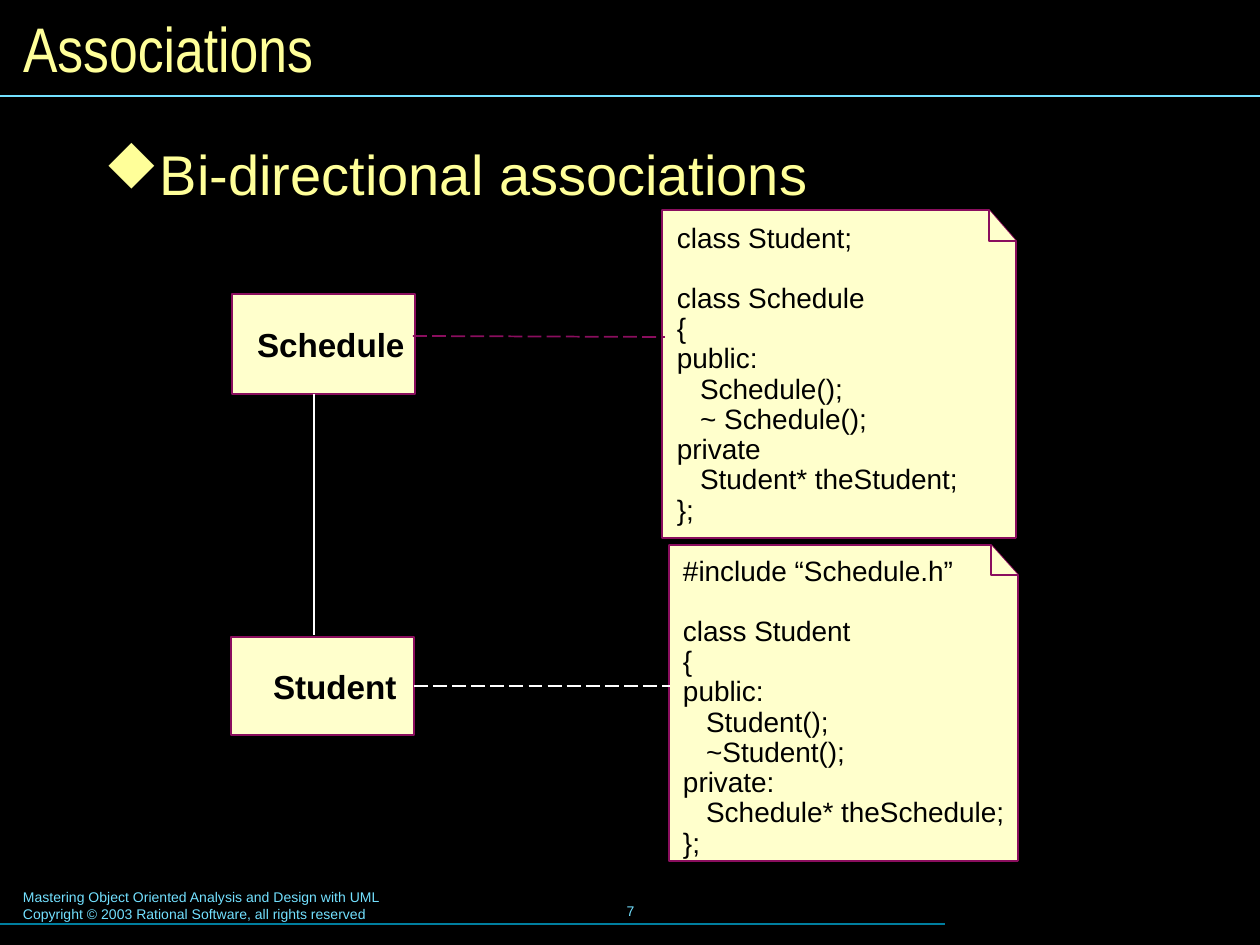
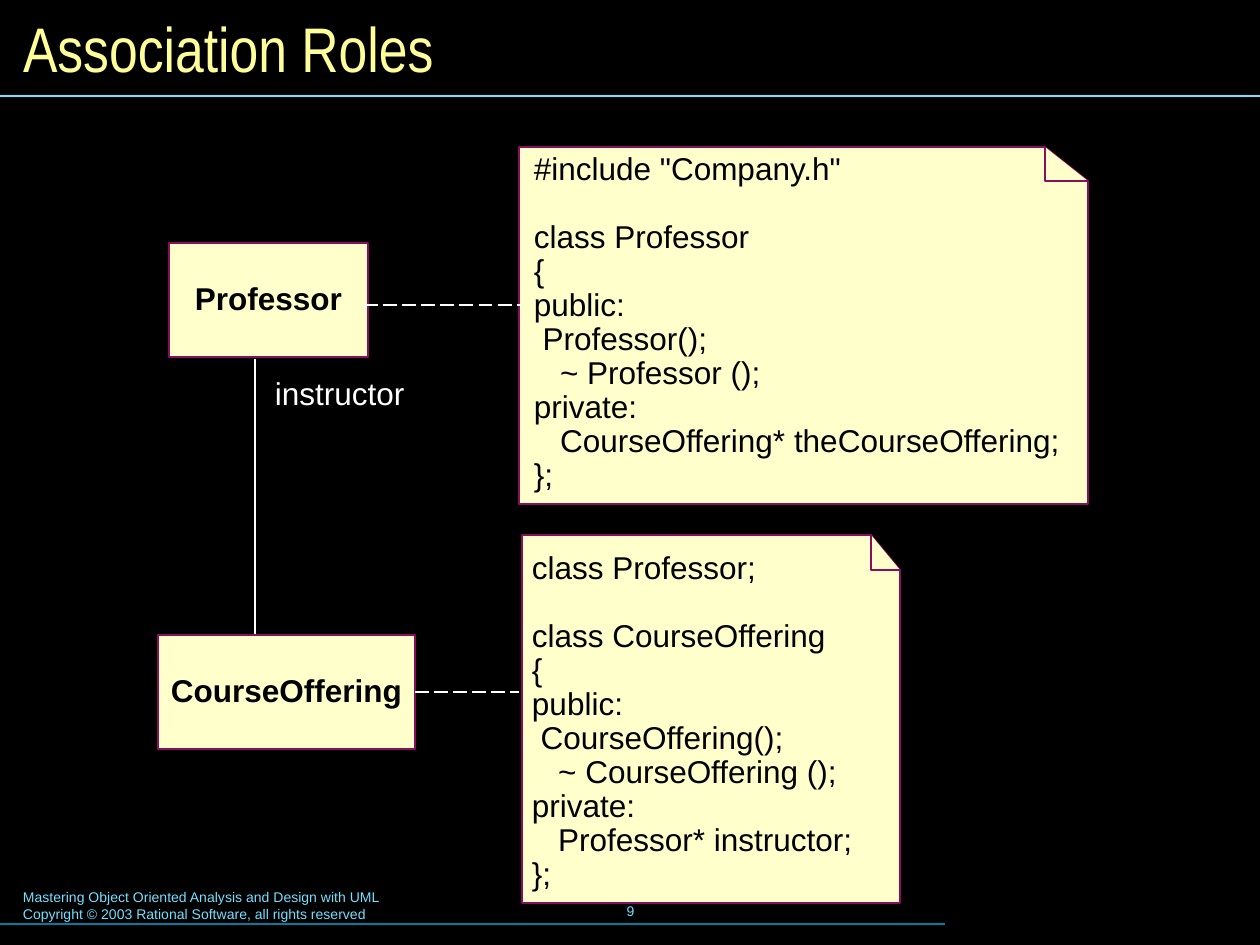
import lxml.etree
import pptx
import pptx.dml.color
import pptx.enum.dml
import pptx.enum.shapes
import pptx.enum.text
import pptx.oxml.ns
import pptx.util

PX = 7257  # EMU in one px, 126 px to the inch
YELLOW, CREAM, PLUM = "FFFF99", "FFFFCC", "8A0E5E"
SKY, TEAL, BLACK, WHITE = "73E1FF", "007E9F", "000000", "FFFFFF"
DIAMOND = "u"  # a solid diamond in Wingdings
LEFT, CENTER = pptx.enum.text.PP_ALIGN.LEFT, pptx.enum.text.PP_ALIGN.CENTER
TOP, MIDDLE = pptx.enum.text.MSO_ANCHOR.TOP, pptx.enum.text.MSO_ANCHOR.MIDDLE
rgb = pptx.dml.color.RGBColor.from_string
qn = pptx.oxml.ns.qn


def write(frame, text, size, colour, font="Arial", bold=False, align=LEFT,
          anchor=TOP, insets=(13, 6, 13, 6), spacing=None, bullet=None):
    """Fill a text frame; an empty line becomes space before the next one."""
    frame.word_wrap = True
    frame.auto_size = pptx.enum.text.MSO_AUTO_SIZE.NONE
    frame.vertical_anchor = anchor
    frame.margin_left, frame.margin_top, frame.margin_right, frame.margin_bottom = (
        inset * PX for inset in insets)
    gap = 0
    for number, line in enumerate(text.split("\n")):
        if not line:
            gap = size * 1.08
            continue
        paragraph = frame.add_paragraph() if number else frame.paragraphs[0]
        paragraph.text = line
        paragraph.alignment = align
        paragraph.space_before = pptx.util.Pt(gap)
        gap = 0
        if spacing:
            paragraph.line_spacing = spacing
        if bullet:
            properties = paragraph._p.get_or_add_pPr()
            properties.set("marL", str(47 * PX))
            properties.set("indent", str(-47 * PX))
            tint = lxml.etree.SubElement(properties, qn("a:buClr"))
            lxml.etree.SubElement(tint, qn("a:srgbClr"), val=colour)
            lxml.etree.SubElement(properties, qn("a:buFont"), typeface="Wingdings",
                                  pitchFamily="2", charset="2")
            lxml.etree.SubElement(properties, qn("a:buChar"), char=bullet)
        paragraph.font.name = font
        paragraph.font.size = pptx.util.Pt(size)
        paragraph.font.bold = bold
        paragraph.font.color.rgb = rgb(colour)


def draw_line(slide, x1, y1, x2, y2, colour, weight=1, dashed=False):
    line = slide.shapes.add_connector(
        pptx.enum.shapes.MSO_CONNECTOR.STRAIGHT, x1 * PX, y1 * PX, x2 * PX, y2 * PX)
    line.line.color.rgb = rgb(colour)
    line.line.width = pptx.util.Pt(weight)
    if dashed:
        line.line.dash_style = pptx.enum.dml.MSO_LINE.LONG_DASH
    lxml.etree.SubElement(line._element.spPr, qn("a:effectLst"))
    return line


# Content: class boxes (with label indent and drop), code notes (with fold size
# and text offset), and dashed anchors from class to note
schedule_code = """class Student;

class Schedule
{
public:
   Schedule();
   ~ Schedule();
private
   Student* theStudent;
};"""
student_code = """#include “Schedule.h”

class Student
{
public:
   Student();
   ~Student();
private:
   Schedule* theSchedule;
};"""
professor_code = """#include "Company.h"

class Professor
{
public:
 Professor();
   ~ Professor ();
private:
   CourseOffering* theCourseOffering;
};"""
offering_code = """class Professor;

class CourseOffering
{
public:
 CourseOffering();
   ~ CourseOffering ();
private:
   Professor* instructor;
};"""

pages = [
    dict(title="Associations", number="7", label_size=19, label_drop=12, code_size=16,
         bullet="Bi-directional associations", role=None,
         classes=[("Schedule", 232, 294, 183, 100, 25),
                  ("Student", 231, 637, 183, 98, 42)],
         notes=[(schedule_code, 662, 210, 354, 328, 27, 31, 15, 14),
                (student_code, 669, 545, 349, 316, 27, 30, 14, 12)],
         association=(314, 394, 314, 635),
         anchors=[(413, 336, 665, 337, PLUM, None),
                  (414, 686, 670, 686, WHITE, 1)]),
    dict(title="Association Roles", number="9", label_size=18, label_drop=6, code_size=18,
         bullet=None, role="instructor",
         classes=[("Professor", 169, 243, 199, 114, 26),
                  ("CourseOffering", 158, 635, 257, 114, 13)],
         notes=[(professor_code, 519, 147, 569, 357, 43, 34, 15, 6),
                (offering_code, 522, 535, 378, 368, 29, 35, 10, 17)],
         association=(255, 359, 255, 634),
         anchors=[(364, 305, 522, 305, WHITE, None),
                  (415, 692, 519, 692, WHITE, 1)]),
]

presentation = pptx.Presentation()
presentation.slide_width = pptx.util.Inches(10)
presentation.slide_height = pptx.util.Inches(7.5)
background = presentation.slide_master.background.fill
background.solid()
background.fore_color.rgb = rgb(BLACK)

for page in pages:
    slide = presentation.slides.add_slide(presentation.slide_layouts[5])
    shapes = slide.shapes

    # Title, rules and footer
    title = shapes.title
    title.left, title.top, title.width, title.height = (
        n * PX for n in (10, 11, 1240, 73))
    write(title.text_frame, page["title"], 36, YELLOW, font="Arial Narrow", anchor=MIDDLE)
    draw_line(slide, 0, 96, 1260, 96, SKY, 0.75)
    draw_line(slide, 0, 924, 945, 924, TEAL, 0.75)
    footer = shapes.add_textbox(10 * PX, 883 * PX, 643 * PX, 47 * PX)
    write(footer.text_frame, "Mastering Object Oriented Analysis and Design with UML\n"
          "Copyright © 2003 Rational Software, all rights reserved", 8, SKY)
    page_number = shapes.add_textbox(431 * PX, 879 * PX, 399 * PX, 63 * PX)
    write(page_number.text_frame, page["number"], 8, SKY, align=CENTER, anchor=MIDDLE)

    # Bullet heading
    if page["bullet"]:
        heading = shapes.add_textbox(89 * PX, 145 * PX, 1169 * PX, 70 * PX)
        write(heading.text_frame, page["bullet"], 32, YELLOW,
              insets=(15, 8, 15, 8), spacing=0.8, bullet=DIAMOND)

    # Code notes with a folded corner
    paper = []
    for code, x, y, width, height, fold_w, fold_h, indent, drop in page["notes"]:
        right, bottom = x + width, y + height
        crease, fold_end = right - fold_w, y + fold_h
        outline = shapes.build_freeform(right, bottom, scale=PX)
        outline.add_line_segments(
            [(x, bottom), (x, y), (crease, y), (right, fold_end)], close=True)
        note = outline.convert_to_shape()
        write(note.text_frame, code, page["code_size"], BLACK,
              insets=(indent, drop, 0, 0), spacing=0.9)
        corner = shapes.build_freeform(right, fold_end, scale=PX)
        corner.add_line_segments([(crease, fold_end), (crease, y)], close=False)
        paper += [note, corner.convert_to_shape()]

    # Class boxes
    class_boxes = []
    for name, x, y, width, height, indent in page["classes"]:
        box = shapes.add_shape(pptx.enum.shapes.MSO_SHAPE.RECTANGLE,
                               x * PX, y * PX, width * PX, height * PX)
        write(box.text_frame, name, page["label_size"], BLACK, bold=True,
              anchor=MIDDLE, insets=(indent, page["label_drop"], 0, 6), spacing=0.9)
        class_boxes.append(box)

    for sheet in paper + class_boxes:
        sheet.shadow.inherit = False
        sheet.fill.solid()
        sheet.fill.fore_color.rgb = rgb(CREAM)
        sheet.line.color.rgb = rgb(PLUM)
        sheet.line.width = pptx.util.Pt(1)

    # Association, its role, and the dashed note anchors
    draw_line(slide, *page["association"], WHITE)
    if page["role"]:
        role = shapes.add_textbox(262 * PX, 372 * PX, 160 * PX, 45 * PX)
        write(role.text_frame, page["role"], 18, WHITE, spacing=0.9)
    for x1, y1, x2, y2, colour, joined in page["anchors"]:
        anchor_line = draw_line(slide, x1, y1, x2, y2, colour, dashed=True)
        if joined is not None:
            anchor_line.begin_connect(class_boxes[joined], 3)

presentation.save("out.pptx")
